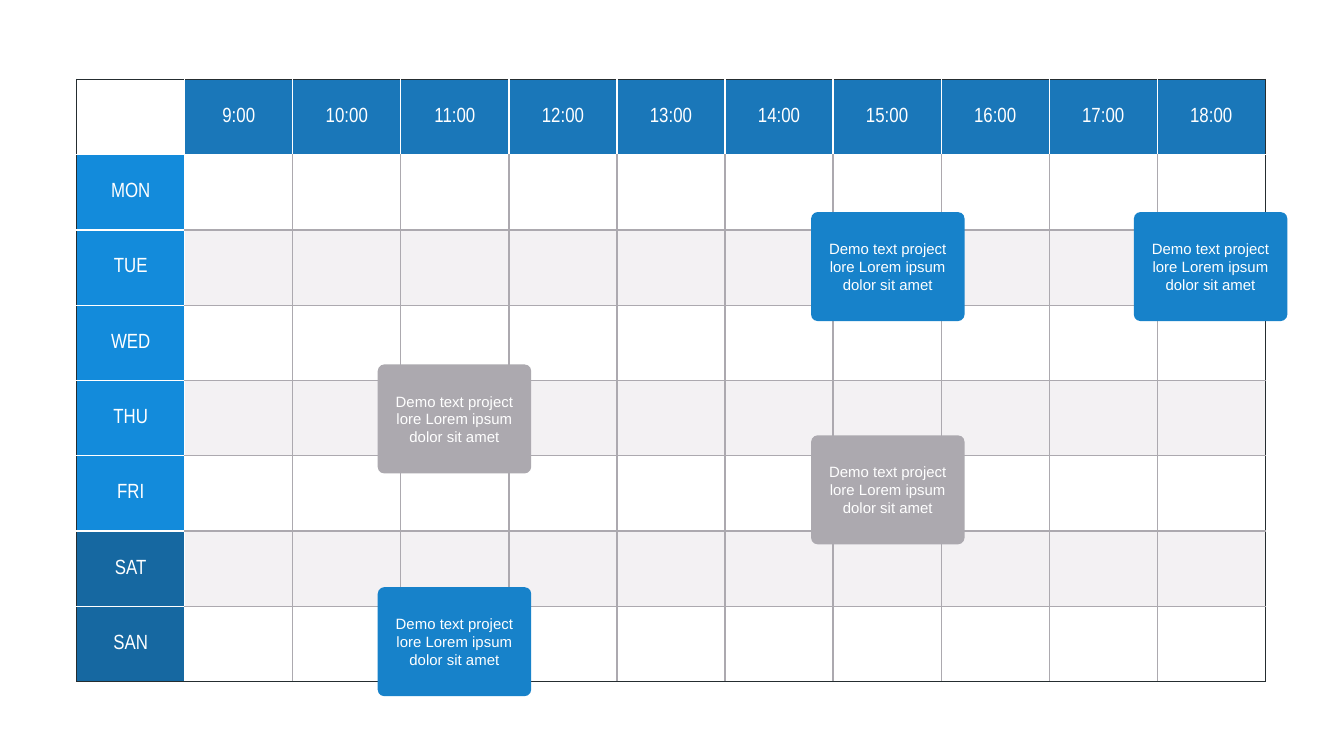
import pptx
import pptx.util
import pptx.dml.color
import pptx.enum.shapes
import pptx.enum.text
import pptx.oxml.ns
from lxml import etree

Cm = pptx.util.Cm
Pt = pptx.util.Pt
qn = pptx.oxml.ns.qn

HOURS = [f"{hour}:00" for hour in range(9, 19)]
DAYS = ["MON", "TUE", "WED", "THU", "FRI", "SAT", "SAN"]
NOTE = "Demo text project lore Lorem ipsum dolor sit amet"
CARDS = [
    (15.33, 4.01, "card"),
    (7.14, 6.89, "grey"),
    (15.33, 8.23, "grey"),
    (7.14, 11.1, "card"),
    (21.43, 4.01, "card"),
]
HUES = {
    "white": "FFFFFF",
    "dark": "252D30",
    "grey": "ACA9AF",
    "hour": "1A77B9",
    "day": "138BDB",
    "rest": "1668A1",
    "band": "E8E5E9",
    "card": "1782CA",
}
LEFT, TOP, WIDE, HIGH = 1.45, 1.5, 22.47, 11.39
ROWS, COLS = len(DAYS) + 1, len(HOURS) + 1


def hue(name):
    return pptx.dml.color.RGBColor.from_string(HUES[name])


def paint(fill, name):
    fill.solid()
    fill.fore_color.rgb = hue(name)


def write(frame, text, size, font):
    para = frame.paragraphs[0]
    para.alignment = pptx.enum.text.PP_ALIGN.CENTER
    run = para.add_run()
    run.text = text
    run.font.size = Pt(size)
    run.font.name = font
    run.font.color.rgb = hue("white")


def inset(box, side, end):
    box.margin_left = box.margin_right = Cm(side)
    box.margin_top = box.margin_bottom = Cm(end)
    box.vertical_anchor = pptx.enum.text.MSO_ANCHOR.MIDDLE


def edge(cell, row, col):
    head = row == 0 or col == 0
    rules = [
        ("a:lnL", col == 0, row == 0 or col == 1),
        ("a:lnR", col == COLS - 1, head),
        ("a:lnT", row == 0, col == 0 or row == 1),
        ("a:lnB", row == ROWS - 1, head),
    ]
    props = cell._tc.get_or_add_tcPr()
    for tag, outer, pale in rules:
        name = "dark" if outer else "white" if pale else "grey"
        line = etree.SubElement(props, qn(tag), w=str(Pt(0.75)))
        solid = etree.SubElement(line, qn("a:solidFill"))
        etree.SubElement(solid, qn("a:srgbClr"), val=HUES[name])


def tint(cell, row, col):
    if row == 0 and col:
        paint(cell.fill, "hour")
    elif row and col == 0:
        paint(cell.fill, "rest" if DAYS[row - 1].startswith("S") else "day")
    elif row and row % 2 == 0:
        paint(cell.fill, "band")
        tone = cell._tc.tcPr.find(qn("a:solidFill")).find(qn("a:srgbClr"))
        etree.SubElement(tone, qn("a:alpha"), val="50000")
    else:
        cell.fill.background()


def grid(slide):
    frame = slide.shapes.add_table(ROWS, COLS, Cm(LEFT), Cm(TOP), Cm(WIDE), Cm(HIGH))
    table = frame.table
    table.first_row = table.horz_banding = False
    for col in table.columns:
        col.width = Cm(WIDE / COLS)
    for row in table.rows:
        row.height = Cm(HIGH / ROWS)
    for row, day in enumerate([""] + DAYS):
        for col, hour in enumerate([""] + HOURS):
            cell = table.cell(row, col)
            inset(cell, 0.1, 0.05)
            edge(cell, row, col)
            tint(cell, row, col)
            text = hour if row == 0 else day if col == 0 else ""
            if text:
                write(cell.text_frame, text, 11, "Arial Narrow")


def card(slide, left, top, name):
    kind = pptx.enum.shapes.MSO_SHAPE.ROUNDED_RECTANGLE
    box = slide.shapes.add_shape(kind, Cm(left), Cm(top), Cm(2.9), Cm(2.06))
    box.adjustments[0] = 0.06
    box.shadow.inherit = False
    paint(box.fill, name)
    box.line.fill.background()
    box.text_frame.word_wrap = True
    inset(box.text_frame, 0.06, 0.06)
    write(box.text_frame, NOTE, 8, "Arial")


def main():
    deck = pptx.Presentation()
    deck.slide_width, deck.slide_height = Cm(25.4), Cm(14.29)
    slide = deck.slides.add_slide(deck.slide_layouts[6])
    grid(slide)
    for left, top, name in CARDS:
        card(slide, left, top, name)
    deck.save("out.pptx")


if __name__ == "__main__":
    main()
